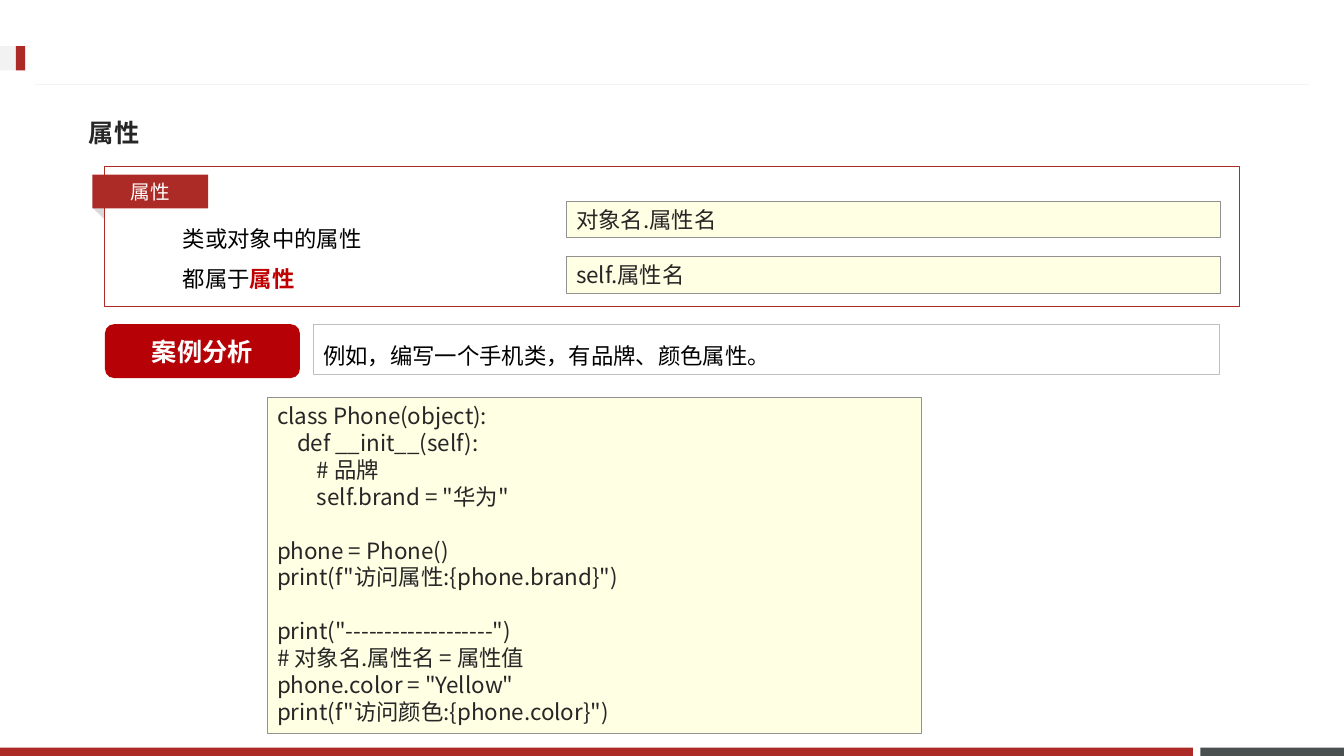
import pptx
import pptx.dml.color
import pptx.enum.shapes
import pptx.enum.text
import pptx.oxml.ns
import pptx.util
from lxml import etree

SHAPE = pptx.enum.shapes.MSO_SHAPE
ALIGN = pptx.enum.text.PP_ALIGN
ANCHOR = pptx.enum.text.MSO_ANCHOR
GROW = pptx.enum.text.MSO_AUTO_SIZE.SHAPE_TO_FIT_TEXT
CJK, ROBOTO = "Noto Sans CJK JP", "Roboto"
RED, PALE, INK, WHITE = "AD2B26", "FFFFE4", "262626", "FFFFFF"


def rgb(value):
    return pptx.dml.color.RGBColor.from_string(value)


class Deck:
    """Draws styled elements on one slide laid out on a 160 by 90 grid."""

    def __init__(self):
        self.prs = pptx.Presentation()
        self.prs.slide_width = pptx.util.Inches(13.33)
        self.prs.slide_height = pptx.util.Inches(7.5)
        self.slide = self.prs.slides.add_slide(self.prs.slide_layouts[6])

    def grid(self, *values):
        cells = (self.prs.slide_width / 160, self.prs.slide_height / 90)
        return [round(v * cells[i % 2]) for i, v in enumerate(values)]

    def shape(self, at, fill=None, line=None, width=0.75, kind=SHAPE.RECTANGLE):
        sp = self.slide.shapes.add_shape(kind, *self.grid(*at))
        sp.shadow.inherit = False
        if fill:
            sp.fill.solid()
            sp.fill.fore_color.rgb = rgb(fill)
        else:
            sp.fill.background()
        if line:
            sp.line.color.rgb = rgb(line)
            sp.line.width = pptx.util.Pt(width)
        else:
            sp.line.fill.background()
        return sp

    def textbox(self, at):
        return self.slide.shapes.add_textbox(*self.grid(*at))

    def rule(self, start, end, color):
        c = self.slide.shapes.add_connector(
            pptx.enum.shapes.MSO_CONNECTOR.STRAIGHT, *self.grid(*start, *end))
        c.line.color.rgb = rgb(color)
        c.line.width = pptx.util.Pt(0.75)
        etree.SubElement(c._element.spPr, pptx.oxml.ns.qn("a:effectLst"))

    def run(self, p, text, font, size, color, bold=False):
        r = p.add_run()
        r.text = text
        style = {"name": font, "size": pptx.util.Pt(size), "bold": bold}
        for key, value in style.items():
            setattr(r.font, key, value)
        r.font.color.rgb = rgb(color)
        ea = etree.Element(pptx.oxml.ns.qn("a:ea"), typeface=CJK)
        r.font._element.find(pptx.oxml.ns.qn("a:latin")).addnext(ea)

    def text(self, sp, lines, font, size, color, bold=False, frame=None, para=None):
        tf = sp.text_frame
        settings = {"word_wrap": True, "vertical_anchor": ANCHOR.TOP, **(frame or {})}
        for key, value in settings.items():
            setattr(tf, key, value)
        for i, line in enumerate(lines):
            p = tf.paragraphs[0] if i == 0 else tf.add_paragraph()
            for key, value in {"alignment": ALIGN.LEFT, **(para or {})}.items():
                setattr(p, key, value)
            for part in [line] if isinstance(line, str) else line:
                content, changes = (part, {}) if isinstance(part, str) else part
                self.run(p, content, font, size, **{"color": color, "bold": bold, **changes})

    def label(self, at, text, fill, size, bold=False, kind=SHAPE.RECTANGLE):
        sp = self.shape(at, fill, kind=kind)
        self.text(sp, [text], ROBOTO, size, WHITE, bold,
                  {"vertical_anchor": ANCHOR.MIDDLE}, {"alignment": ALIGN.CENTER})

    def code(self, at, blocks):
        sp = self.shape(at, PALE, "919191", 0.25)
        lines = [line for block in blocks for line in block]
        self.text(sp, lines, CJK, 16, INK, frame={"auto_size": GROW})
        first = 0
        for block in blocks[:-1]:
            first += len(block)
            sp.text_frame.paragraphs[first].space_before = pptx.util.Pt(19.2)


def main():
    deck = Deck()
    deck.shape((142.9, 89, 17.1, 1), "49504F")
    deck.shape((0, 89, 142, 1), RED)
    deck.rule((155.8, 10.1), (4.2, 10.1), "F2F2F2")
    deck.shape((0, 5.5, 3, 2.9), "F2F2F2")
    deck.shape((1.9, 5.5, 1.1, 2.9), RED)

    deck.text(deck.textbox((9.4, 12.4, 140.4, 6.8)), ["属性"], CJK, 18, INK, True,
              {"vertical_anchor": ANCHOR.MIDDLE})

    fold = deck.shape((11.2, 24.5, 1.9, 1.1), "D9D9D9", kind=SHAPE.ISOSCELES_TRIANGLE)
    fold.rotation = 44.2
    deck.shape((12.4, 19.8, 135.2, 16.7), line=RED)
    deck.label((11, 20.8, 13.8, 4), "属性", RED, 14)

    body = {"frame": {"auto_size": GROW}, "para": {"line_spacing": 1.5}}
    definition = ["类或对象中的属性", ["都属于", ("属性", {"color": "C00000", "bold": True})]]
    deck.text(deck.textbox((20.6, 24.6, 46.7, 10.9)), definition,
              ROBOTO, 16, "000000", **body)
    for i, syntax in enumerate(["对象名.属性名", "self.属性名"]):
        deck.code((67.4, 23.9 + 6.6 * i, 77.9, 4.4), [[syntax]])

    deck.label((12.5, 38.6, 23.2, 6.4), "案例分析", "B60206", 18, True,
               SHAPE.ROUNDED_RECTANGLE)
    example = deck.shape((37.3, 38.6, 107.9, 6), line="BFBFBF")
    deck.text(example, ["例如，编写一个手机类，有品牌、颜色属性。"],
              ROBOTO, 16, "000000", **body)

    deck.code((31.8, 47.3, 77.9, 40), [
        ["class Phone(object):",
         "    def __init__(self):",
         "        # 品牌",
         '        self.brand = "华为"'],
        ["phone = Phone()",
         'print(f"访问属性:{phone.brand}")'],
        ['print("-------------------")',
         "# 对象名.属性名 = 属性值",
         'phone.color = "Yellow"',
         'print(f"访问颜色:{phone.color}")'],
    ])
    deck.prs.save("out.pptx")


if __name__ == "__main__":
    main()
